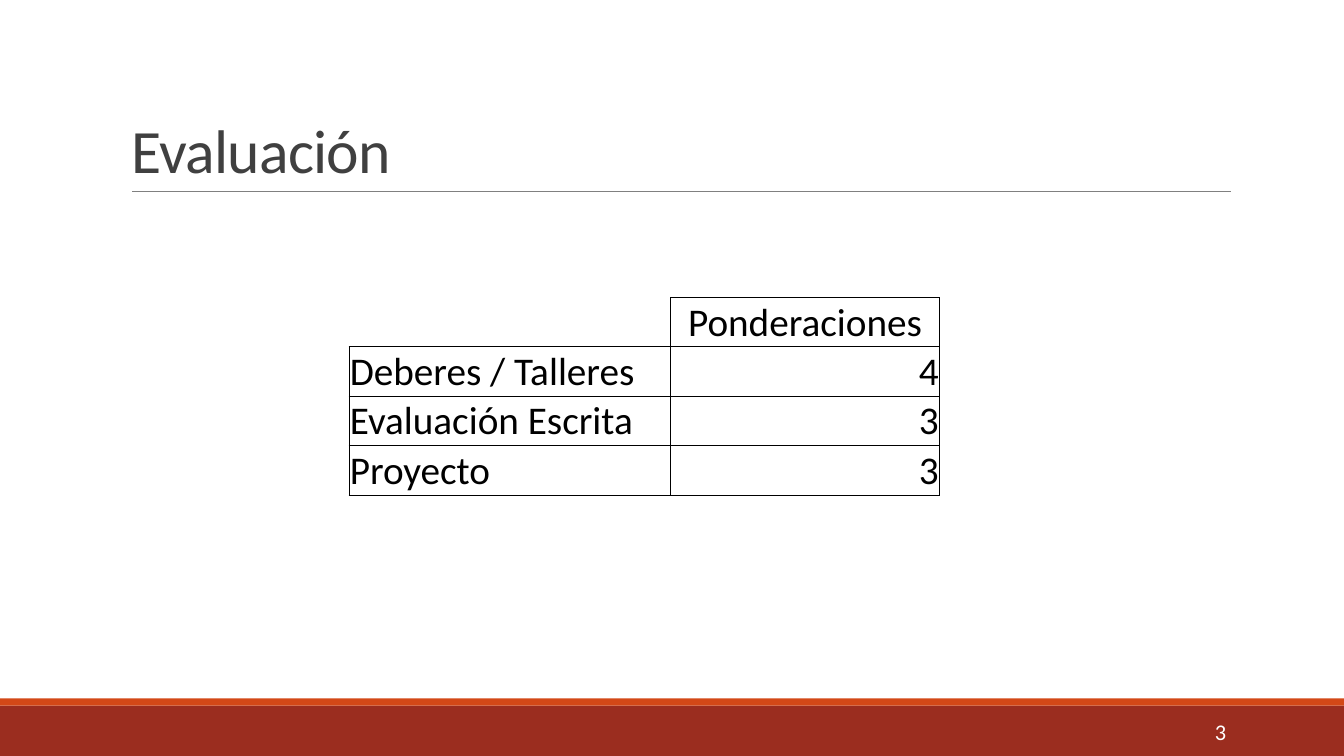
"""Build the "Evaluación" slide with its table of weights."""
from lxml import etree
from pptx import Presentation
from pptx.dml.color import RGBColor
from pptx.enum.shapes import MSO_CONNECTOR, MSO_SHAPE
from pptx.enum.text import MSO_ANCHOR, MSO_AUTO_SIZE, PP_ALIGN
from pptx.oxml.ns import qn
from pptx.util import Inches, Pt

BLACK = RGBColor(0x00, 0x00, 0x00)
WHITE = RGBColor(0xFF, 0xFF, 0xFF)
DARK_GREY = RGBColor(0x40, 0x40, 0x40)
GREY = RGBColor(0x80, 0x80, 0x80)
DARK_RED = RGBColor(0x9B, 0x2D, 0x1F)
ORANGE = RGBColor(0xD3, 0x48, 0x17)
LEFT, CENTER, RIGHT = PP_ALIGN.LEFT, PP_ALIGN.CENTER, PP_ALIGN.RIGHT
BOTTOM, MIDDLE = MSO_ANCHOR.BOTTOM, MSO_ANCHOR.MIDDLE
ROW_HEIGHT = 0.49


def write(p, text, size, color, align=LEFT):
    p.alignment = align
    r = p.add_run()
    r.text = text
    for name, value in {"name": "Calibri", "size": Pt(size), "bold": False}.items():
        setattr(r.font, name, value)
    r.font.color.rgb = color
    return r


def add_border(cell, side):
    ln = etree.SubElement(cell._tc.get_or_add_tcPr(), qn(f"a:ln{side}"), w=str(Pt(0.5)))
    fill = etree.SubElement(ln, qn("a:solidFill"))
    etree.SubElement(fill, qn("a:srgbClr"), val=str(BLACK))


prs = Presentation()
prs.slide_width, prs.slide_height = Inches(13.33), Inches(7.5)
s = prs.slides.add_slide(prs.slide_layouts[5])

for top, height, color in [(7, 0.5, DARK_RED), (6.93, 0.07, ORANGE)]:
    sp = s.shapes.add_shape(MSO_SHAPE.RECTANGLE, 0, Inches(top), prs.slide_width, Inches(height))
    sp.shadow.inherit = False
    sp.fill.solid()
    sp.fill.fore_color.rgb = color
    sp.line.fill.background()

rule = s.shapes.add_connector(
    MSO_CONNECTOR.STRAIGHT, Inches(1.31), Inches(1.9), Inches(12.21), Inches(1.9))
rule.line.color.rgb = GREY
rule.line.width = Pt(0.5)
etree.SubElement(rule._element.spPr, qn("a:effectLst"))

title = s.shapes.title
title.left, title.top, title.width, title.height = map(Inches, (1.2, 0.31, 11, 1.59))
tf = title.text_frame
tf.auto_size = MSO_AUTO_SIZE.NONE
tf.vertical_anchor = BOTTOM
p = tf.paragraphs[0]
p.line_spacing = 0.85
r = write(p, "Evaluación", 44, DARK_GREY)
r.font._element.set("spc", "-50")

number = s.shapes.add_textbox(*map(Inches, (10.83, 7.06, 1.43, 0.4)))
tf = number.text_frame
tf.word_wrap = True
tf.vertical_anchor = MIDDLE
write(tf.paragraphs[0], "3", 16, WHITE, RIGHT)

rows = [
    ("", "Ponderaciones"),
    ("Deberes / Talleres", "4"),
    ("Evaluación Escrita", "3"),
    ("Proyecto", "3"),
]
table = s.shapes.add_table(
    len(rows), 2, Inches(3.46), Inches(2.95), Inches(5.86), Inches(ROW_HEIGHT * len(rows))).table
table.first_row = table.horz_banding = False
for column, width in zip(table.columns, (3.19, 2.67)):
    column.width = Inches(width)

margins = {"margin_left": 0.01, "margin_right": 0.01, "margin_top": 0.01, "margin_bottom": 0}
for i, row in enumerate(rows):
    table.rows[i].height = Inches(ROW_HEIGHT)
    for j, text in enumerate(row):
        cell = table.cell(i, j)
        cell.vertical_anchor = BOTTOM
        for name, value in margins.items():
            setattr(cell, name, Inches(value))
        for side in "LRTB" if text else "RB":
            add_border(cell, side)
        cell.fill.background()
        if text:
            align = LEFT if j == 0 else CENTER if i == 0 else RIGHT
            write(cell.text_frame.paragraphs[0], text, 28, BLACK, align)

prs.save("out.pptx")
